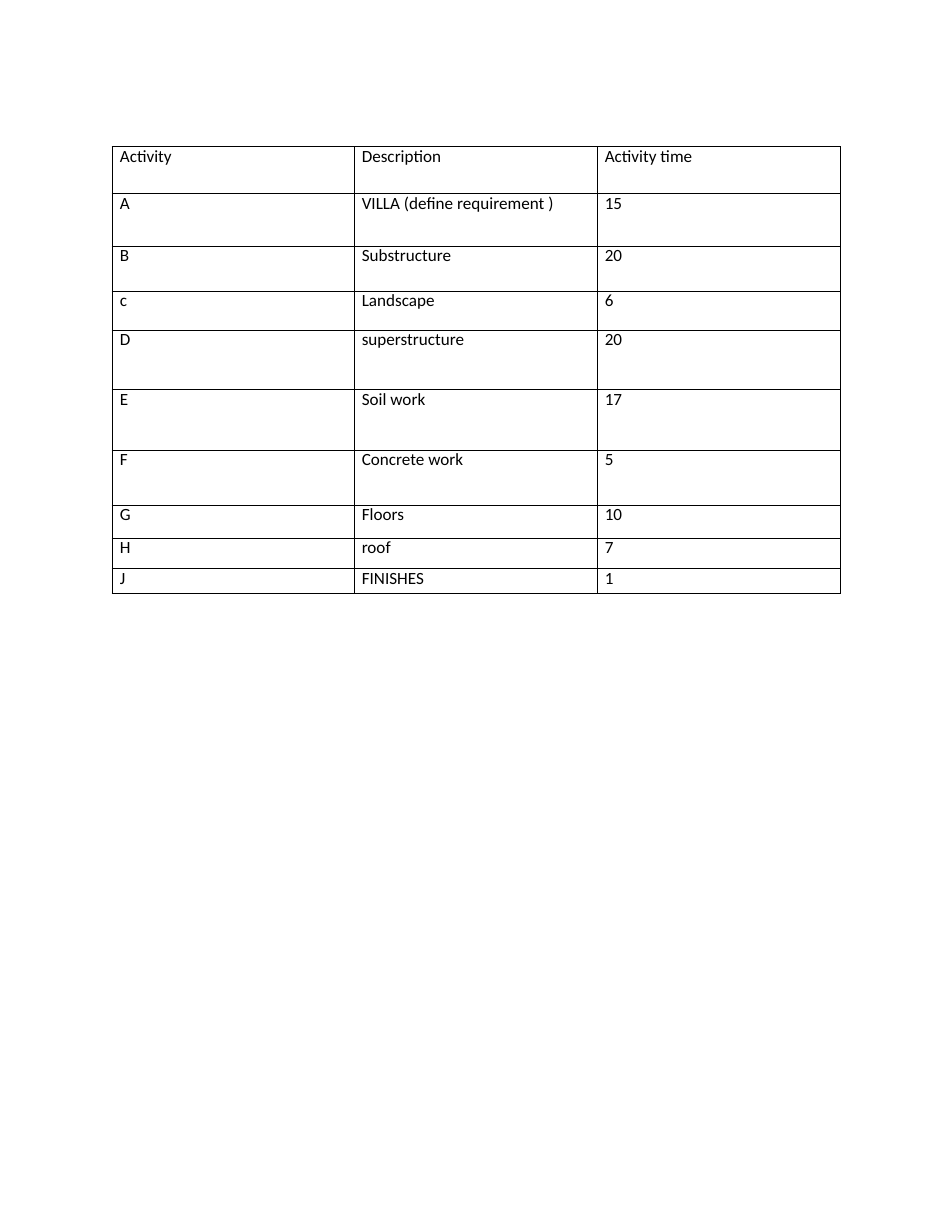
from lxml.etree import SubElement
from pptx import Presentation
from pptx.dml.color import RGBColor
from pptx.oxml.ns import qn
from pptx.util import Inches, Pt

# Content: header row, then one row per activity
ROWS = [
    ("Activity", "Description", "Activity time"),
    ("A", "VILLA (define requirement )", "15"),
    ("B", "Substructure", "20"),
    ("c", "Landscape", "6"),
    ("D", "superstructure", "20"),
    ("E", "Soil work", "17"),
    ("F", "Concrete work", "5"),
    ("G", "Floors", "10"),
    ("H", "roof", "7"),
    ("J", "FINISHES", "1"),
]
ROW_HEIGHTS = [0.42, 0.47, 0.4, 0.35, 0.53, 0.54, 0.49, 0.3, 0.27, 0.22]
COL_WIDTHS = [2.16, 2.17, 2.17]
LEFT, TOP = 1, 1.31

THEME = {
    "font": "Calibri",
    "size": Pt(11),
    "leading": Pt(12.9),
    "ink": "000000",
    "border": Pt(0.5),
    "indent": Inches(0.07),
}


def add_borders(cell):
    tcPr = cell._tc.get_or_add_tcPr()
    for side in ("lnL", "lnR", "lnT", "lnB"):
        ln = SubElement(tcPr, qn(f"a:{side}"), w=str(THEME["border"]))
        fill = SubElement(ln, qn("a:solidFill"))
        SubElement(fill, qn("a:srgbClr"), val=THEME["ink"])


def fill_cell(cell, text):
    cell.margin_left = cell.margin_right = cell.margin_top = cell.margin_bottom = 0
    add_borders(cell)
    cell.fill.background()
    cell.text_frame.text = text
    p = cell.text_frame.paragraphs[0]
    p.line_spacing = THEME["leading"]
    p._p.get_or_add_pPr().set("marL", str(THEME["indent"]))
    font = p.runs[0].font
    font.name, font.size = THEME["font"], THEME["size"]
    font.color.rgb = RGBColor.from_string(THEME["ink"])


prs = Presentation()
prs.slide_width, prs.slide_height = Inches(8.5), Inches(11)
slide = prs.slides.add_slide(prs.slide_layouts[6])

# Activity table
table = slide.shapes.add_table(
    len(ROWS), len(COL_WIDTHS), Inches(LEFT), Inches(TOP),
    Inches(sum(COL_WIDTHS)), Inches(sum(ROW_HEIGHTS))).table
table.first_row = table.horz_banding = False
for column, width in zip(table.columns, COL_WIDTHS):
    column.width = Inches(width)
for row, height, texts in zip(table.rows, ROW_HEIGHTS, ROWS):
    row.height = Inches(height)
    for cell, text in zip(row.cells, texts):
        fill_cell(cell, text)

prs.save("out.pptx")
